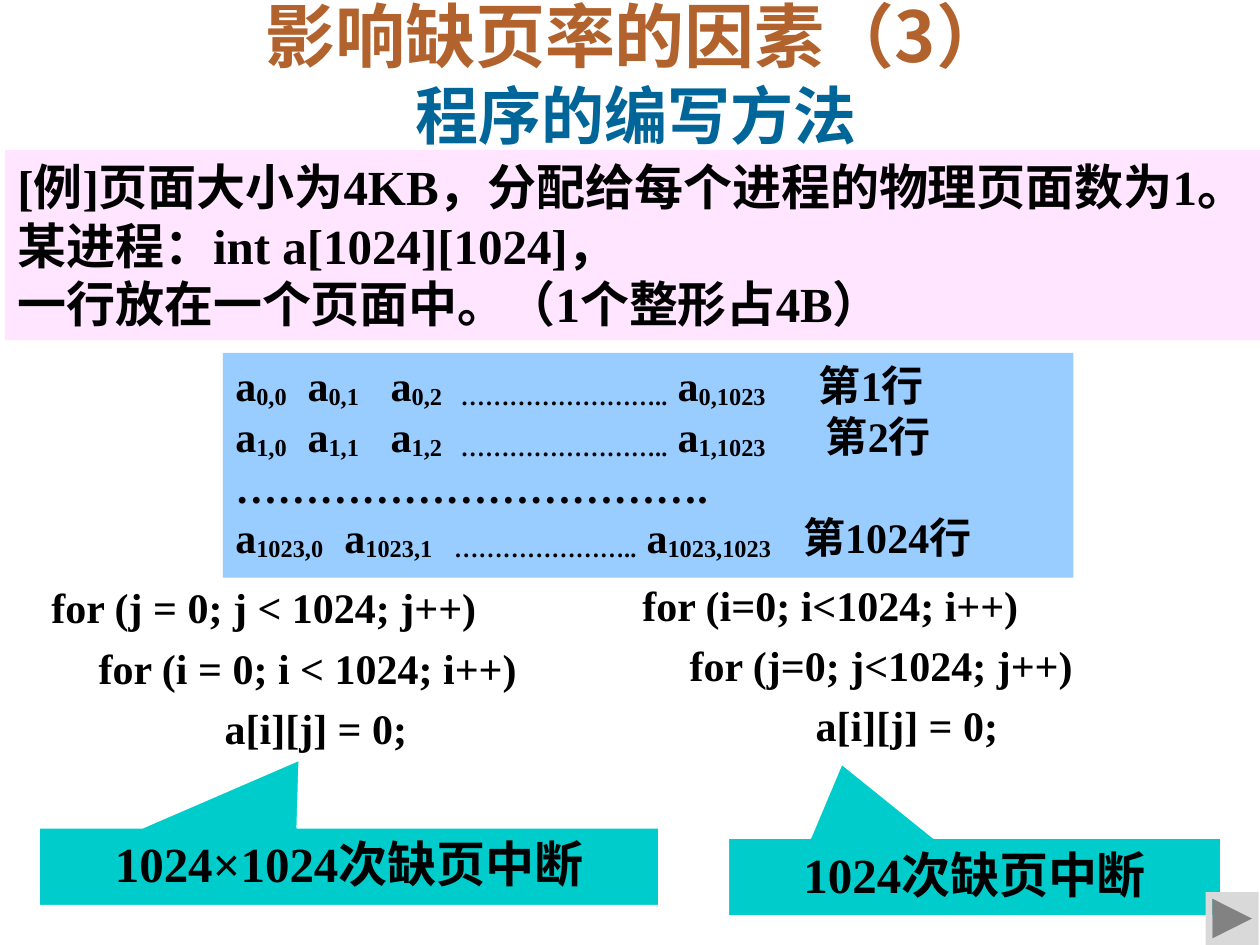
from dataclasses import dataclass

from lxml import etree
from pptx import Presentation
from pptx.dml.color import RGBColor
from pptx.enum.shapes import MSO_SHAPE
from pptx.enum.text import MSO_ANCHOR, MSO_AUTO_SIZE, PP_ALIGN
from pptx.oxml.ns import qn
from pptx.util import Pt

RECT = MSO_SHAPE.RECTANGLE
CALLOUT = MSO_SHAPE.RECTANGULAR_CALLOUT
NEXT_BUTTON = MSO_SHAPE.ACTION_BUTTON_FORWARD_OR_NEXT
TOP = MSO_ANCHOR.TOP
NO_FIT = MSO_AUTO_SIZE.NONE
LEFT, CENTER = PP_ALIGN.LEFT, PP_ALIGN.CENTER


@dataclass(frozen=True)
class Theme:
    latin: str = "Times New Roman"
    cjk: str = "Noto Sans CJK SC"
    title: str = "B2622C"
    subtitle: str = "006699"
    text: str = "000000"
    white: str = "FFFFFF"
    example: str = "FFE5FF"
    array: str = "99CCFF"
    callout: str = "00CCCC"
    button: str = "D9D9D9"
    title_size: int = 40
    subtitle_size: int = 36
    large: int = 28
    body: int = 24


T = Theme()


def add_run(p, text, size, color=T.text, font=T.latin, subscript=False):
    r = p.add_run()
    r.text = text
    r.font.size = Pt(size)
    r.font.bold = True
    r.font.name = font
    r.font.color.rgb = RGBColor.from_string(color)
    rPr = r._r.get_or_add_rPr()
    etree.SubElement(rPr, qn("a:ea")).set("typeface", T.cjk)
    if subscript:
        rPr.set("baseline", "-10000")


def add_paragraph(tf, first, align=LEFT):
    p = tf.paragraphs[0] if first else tf.add_paragraph()
    p.alignment = align
    return p


def set_tabs(p, stops):
    tabs = etree.SubElement(p._p.get_or_add_pPr(), qn("a:tabLst"))
    for stop in stops:
        tab = etree.SubElement(tabs, qn("a:tab"))
        tab.set("pos", str(Pt(stop)))
        tab.set("algn", "l")


def add_box(slide, kind, box, fill, line=None, wrap=True):
    sp = slide.shapes.add_shape(kind, *map(Pt, box))
    sp.shadow.inherit = False
    sp.fill.solid()
    sp.fill.fore_color.rgb = RGBColor.from_string(fill)
    if line:
        sp.line.color.rgb = RGBColor.from_string(line)
        sp.line.width = Pt(1)
    else:
        sp.line.fill.background()
    tf = sp.text_frame
    tf.word_wrap = wrap
    tf.vertical_anchor = TOP
    return sp


def add_title(slide):
    sp = slide.shapes.title
    sp.left, sp.top, sp.width, sp.height = map(Pt, (104.4, -8, 517.7, 147.6))
    tf = sp.text_frame
    tf.auto_size = NO_FIT
    tf.vertical_anchor = TOP
    p = add_paragraph(tf, True, CENTER)
    add_run(p, "影响缺页率的因素", T.title_size, T.title)
    add_run(p, "（3）", T.title_size, T.title, T.cjk)
    p = add_paragraph(tf, False, CENTER)
    add_run(p, "程序的编写方法", T.subtitle_size, T.subtitle, T.cjk)


def add_example(slide, lines):
    tf = add_box(slide, RECT, (2.9, 85.7, 720, 108.7), T.example).text_frame
    for i, line in enumerate(lines):
        add_run(add_paragraph(tf, i == 0), line, T.large)


def add_array(slide, rows):
    """Each row holds its tab stops and its (text, subscript) parts."""
    tf = add_box(slide, RECT, (127.4, 201.6, 486, 128.5), T.array).text_frame
    for i, (stops, parts) in enumerate(rows):
        p = add_paragraph(tf, i == 0)
        if stops:
            set_tabs(p, stops)
        for text, subscript in parts:
            add_run(p, text, T.body, subscript=subscript)


def array_row(row, columns, dots, last_row, stops):
    """Elements in the given columns, a dotted gap, the last element, a label."""
    parts = []
    for n, col in enumerate(columns):
        parts += [("\ta" if n else "a", False), (f"{row},{col}", True)]
    parts += [("\t" + dots, True), ("\ta", False), (f"{row},1023", True),
              (f"\t第{last_row}行", False)]
    return stops, parts


def add_code(slide, box, lines):
    tf = add_box(slide, RECT, box, T.white).text_frame
    for i, (line, indent) in enumerate(zip(lines, (0, 27, 99))):
        p = add_paragraph(tf, i == 0)
        p._p.get_or_add_pPr().set("marL", str(Pt(indent)))
        if i:
            p.space_before = Pt(5.6)
        add_run(p, line, T.body)


def add_callout(slide, box, tip, text):
    sp = add_box(slide, CALLOUT, box, T.callout, T.white, wrap=False)
    sp.adjustments[0], sp.adjustments[1] = tip
    add_run(add_paragraph(sp.text_frame, True, CENTER), text, T.large)


def main():
    prs = Presentation()
    prs.slide_width, prs.slide_height = Pt(720), Pt(540)
    slide = prs.slides.add_slide(prs.slide_layouts[5])

    # Heading and problem statement
    add_title(slide)
    add_example(slide, (
        "[例]页面大小为4KB，分配给每个进程的物理页面数为1。某进程：int a[1024][1024]，",
        "一行放在一个页面中。（1个整形占4B）"))

    # Two loop orders
    add_code(slide, (360, 327.6, 306, 106.6), (
        "for (i=0; i<1024; i++)", "for (j=0; j<1024; j++)", "a[i][j] = 0;"))
    add_code(slide, (22.3, 329, 309.6, 105.8), (
        "for (j = 0; j < 1024; j++)", "for (i = 0; i < 1024; i++)",
        "a[i][j] = 0;"))

    # Array layout by page
    dots = "…………………….."
    add_array(slide, (
        array_row(0, (0, 1, 2), dots, 1, (41.3, 88.8, 128.8, 252.8, 333.5)),
        array_row(1, (0, 1, 2), dots, 2, (41.3, 88.8, 128.8, 252.8, 337.5)),
        ((), [("…………………………….", False)]),
        array_row(1023, (0, 1), "…………………..", 1024,
                  (62.3, 125, 235, 324.5))))

    # Resulting page faults
    add_callout(slide, (22.3, 473, 354.2, 44.6), (-0.08, -1.37),
                "1024×1024次缺页中断")
    add_callout(slide, (416.2, 478.8, 281.5, 44.6), (-0.27, -1.45),
                "1024次缺页中断")

    # Forward button
    add_box(slide, NEXT_BUTTON, (689, 509.8, 30.2, 30.2), T.button)

    prs.save("out.pptx")


if __name__ == "__main__":
    main()
